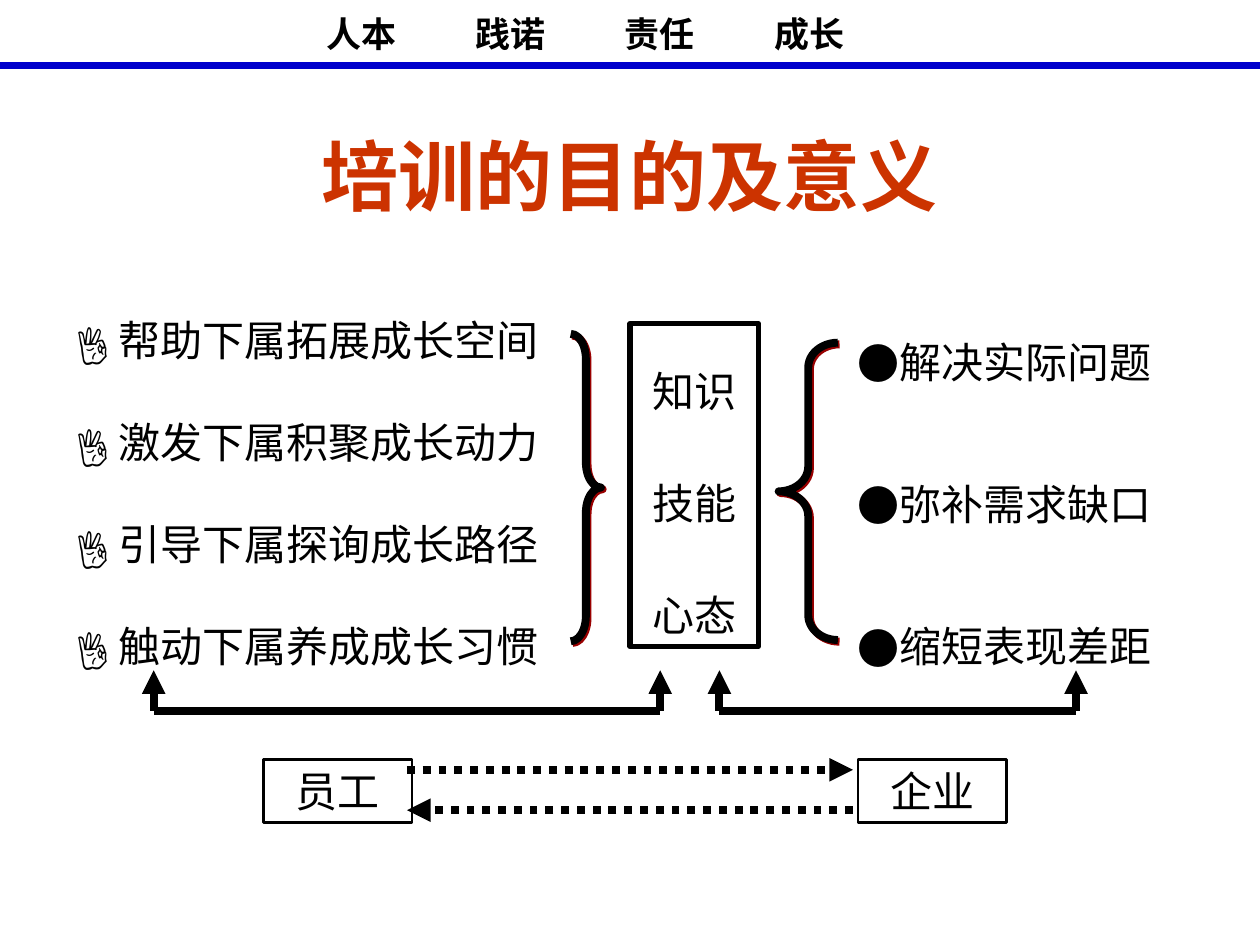
from dataclasses import dataclass

from lxml.etree import SubElement
from pptx import Presentation
from pptx.dml.color import RGBColor
from pptx.enum.dml import MSO_LINE
from pptx.enum.shapes import MSO_CONNECTOR, MSO_SHAPE
from pptx.enum.text import MSO_ANCHOR, PP_ALIGN
from pptx.oxml.ns import qn
from pptx.util import Inches, Pt


@dataclass(frozen=True)
class Theme:
    ink: RGBColor = RGBColor(0, 0, 0)
    rule: RGBColor = RGBColor(0x00, 0x00, 0xCC)
    title: RGBColor = RGBColor(0xCC, 0x33, 0x00)
    shade: str = "990000"
    face: str = "Noto Sans CJK SC"
    latin: str = "Arial"
    head: int = 20
    big: int = 44
    body: int = 24
    gap: int = 15
    thick: float = 4.5


THEME = Theme()


def add(parent, tag, **attrs):
    return SubElement(parent, qn(tag), **attrs)


def style(para, size=THEME.body, color=THEME.ink, bold=False, face=THEME.face):
    font = para.font
    font.size, font.bold, font.name = Pt(size), bold, face
    font.color.rgb = color
    add(para._p.pPr.find(qn("a:defRPr")), "a:ea", typeface=THEME.face)


def add_text(slide, box, text):
    frame = slide.shapes.add_textbox(*map(Inches, box)).text_frame
    frame.word_wrap = True
    frame.text = text
    return frame


def add_head(slide, words):
    frame = add_text(slide, (0.51, 0.05, 8.98, 0.44), "\t".join(words))
    frame.margin_left = Inches(2.08)
    para = frame.paragraphs[0]
    tabs = add(para._p.get_or_add_pPr(), "a:tabLst")
    for i in range(1, len(words)):
        add(tabs, "a:tab", pos=str(Inches(1.185 * i)), algn="l")
    style(para, THEME.head, bold=True)


def add_title(slide, text):
    frame = add_text(slide, (0.5, 0.76, 9, 1.25), text)
    frame.vertical_anchor = MSO_ANCHOR.MIDDLE
    para = frame.paragraphs[0]
    para.alignment = PP_ALIGN.CENTER
    style(para, THEME.big, THEME.title, bold=True)


def space(frame, lines, align):
    for i, para in enumerate(frame.paragraphs):
        para.alignment = align
        para.line_spacing = lines
        if i:
            para.space_before = Pt(THEME.gap)


def add_list(slide, box, items, mark, hang, lines, align):
    frame = add_text(slide, box, "\n".join(items))
    space(frame, lines, align)
    for para in frame.paragraphs:
        props = para._p.get_or_add_pPr()
        props.set("marL", str(Inches(hang)))
        props.set("indent", str(-Inches(hang)))
        add(add(props, "a:buClr"), "a:srgbClr", val=str(THEME.ink))
        add(props, "a:buFont", typeface=THEME.face)
        add(props, "a:buChar", char=mark)
        style(para)


def add_shape(slide, kind, box, width):
    shape = slide.shapes.add_shape(kind, *map(Inches, box))
    shape.shadow.inherit = False
    shape.fill.background()
    shape.line.color.rgb = THEME.ink
    shape.line.width = Pt(width)
    return shape


def add_box(slide, box, items, width, lines=1.0):
    frame = add_shape(slide, MSO_SHAPE.RECTANGLE, box, width).text_frame
    frame.text = "\n".join(items)
    frame.vertical_anchor = MSO_ANCHOR.TOP
    space(frame, lines, PP_ALIGN.CENTER)
    for para in frame.paragraphs:
        style(para, face=THEME.latin)


def add_brace(slide, kind, box, curve):
    shape = add_shape(slide, kind, box, THEME.thick)
    shape.adjustments[0] = curve
    list_ = shape._element.spPr.find(qn("a:effectLst"))
    cast = add(list_, "a:outerShdw", blurRad="0", dist=str(Pt(1.4)),
               dir="2700000", algn="ctr", rotWithShape="0")
    add(cast, "a:srgbClr", val=THEME.shade)


def add_line(slide, start, end, color=THEME.ink, arrow=False, dash=None):
    link = slide.shapes.add_connector(
        MSO_CONNECTOR.STRAIGHT, *map(Inches, start + end))
    link.line.color.rgb = color
    link.line.width = Pt(THEME.thick)
    if dash:
        link.line.dash_style = dash
    if arrow:
        add(link.line._get_or_add_ln(), "a:tailEnd", type="triangle")
    add(link._element.spPr, "a:effectLst")


def add_fork(slide, left, right, top=5.32, base=5.64):
    add_line(slide, (left, base), (right, base))
    for x in (left, right):
        add_line(slide, (x, base), (x, top), arrow=True)


def main():
    deck = Presentation()
    deck.slide_width, deck.slide_height = Inches(10), Inches(7.5)
    slide = deck.slides.add_slide(deck.slide_layouts[6])

    add_head(slide, ["人本", "践诺", "责任", "成长"])
    add_line(slide, (0, 0.52), (10, 0.52), THEME.rule)
    add_title(slide, "培训的目的及意义")

    add_list(slide, (0.51, 2.25, 4.21, 3.13),
             ["帮助下属拓展成长空间", "激发下属积聚成长动力",
              "引导下属探询成长路径", "触动下属养成成长习惯"],
             "👌", 0.33, 1.5, PP_ALIGN.LEFT)
    add_brace(slide, MSO_SHAPE.RIGHT_BRACE, (4.53, 2.65, 0.24, 2.44), 0.83)
    add_box(slide, (5, 2.57, 1.02, 2.56), ["知识", "技能", "心态"], 3, 1.7)
    add_list(slide, (6.5, 2.1, 2.95, 3.28),
             ["解决实际问题", "弥补需求缺口", "缩短表现差距"],
             "●", 0.29, 2.3, PP_ALIGN.CENTER)
    add_brace(slide, MSO_SHAPE.LEFT_BRACE, (6.18, 2.72, 0.47, 2.36), 0.42)

    add_fork(slide, 1.22, 5.24)
    add_fork(slide, 5.71, 8.54)
    for left, word in ((2.09, "员工"), (6.81, "企业")):
        add_box(slide, (left, 6.03, 1.18, 0.5), [word], 1.5)
    for start, end, y in ((3.23, 6.77, 6.11), (6.77, 3.23, 6.43)):
        add_line(slide, (start, y), (end, y), arrow=True,
                 dash=MSO_LINE.ROUND_DOT)

    deck.save("out.pptx")


if __name__ == "__main__":
    main()
